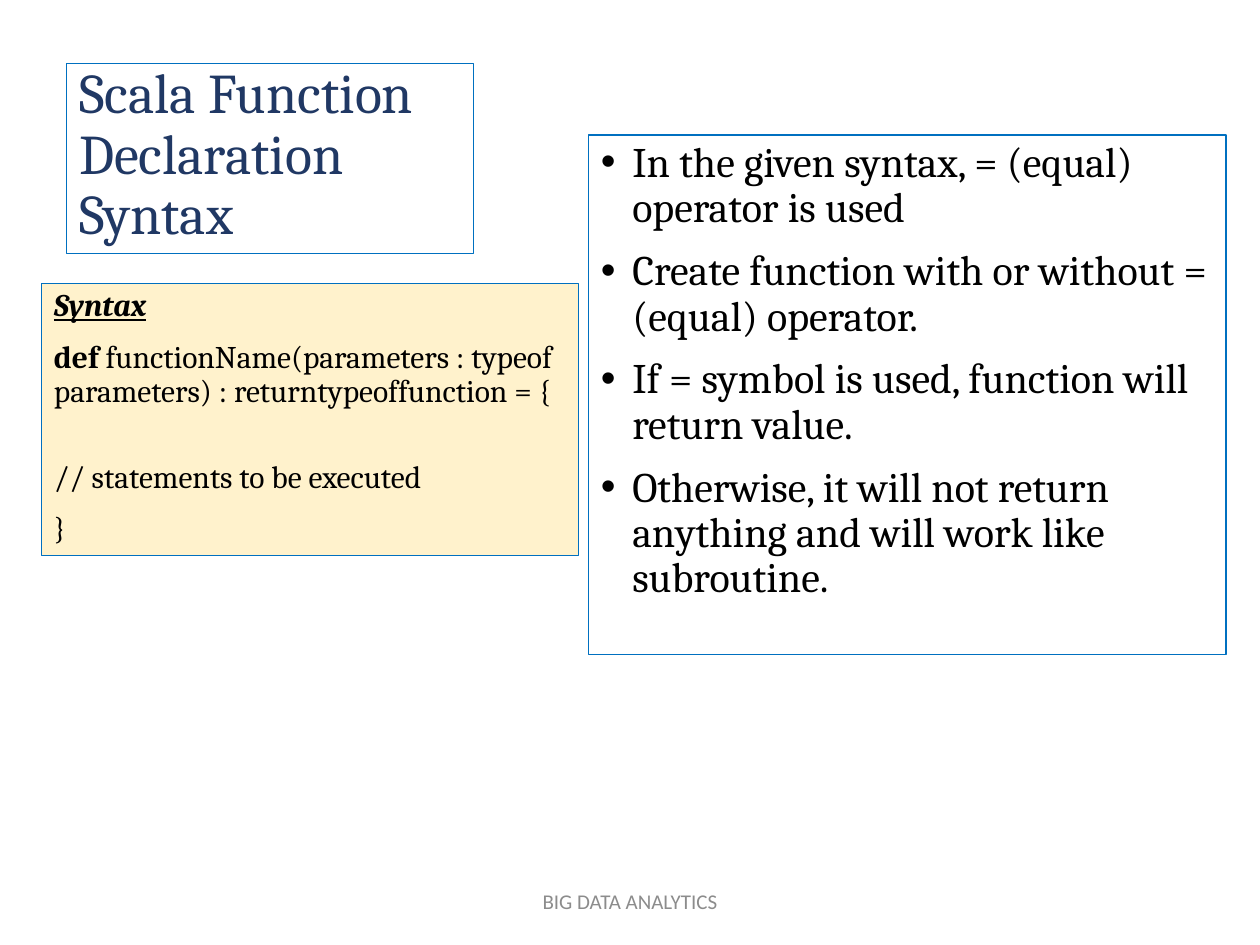
from lxml.etree import SubElement
from pptx import Presentation
from pptx.dml.color import RGBColor
from pptx.enum.text import MSO_ANCHOR as Anchor, PP_ALIGN as Align
from pptx.oxml.ns import qn
from pptx.util import Inches, Pt

WIDTH, HEIGHT = Inches(10), Inches(7.5)
COLORS = {"border": "0070C0", "title": "203864", "text": "000000",
          "syntax": "FFF2CC", "footer": "8C8C8C"}
POINTS = [
    "In the given syntax, = (equal) operator is used",
    "Create function with or without = (equal) operator.",
    "If = symbol is used, function will return value.",
    "Otherwise, it will not return anything and will work like subroutine.",
]
SIGNATURE = "functionName(parameters : typeofparameters) : returntypeoffunction = {"
CODE = ["Syntax", "def ", "// statements to be executed", "}"]
STATEMENT_GAP = 29.5


def color(name):
    return RGBColor.from_string(COLORS[name])


def add_box(slide, left, top, width, height, anchor=Anchor.TOP, border=True, fill=None):
    shape = slide.shapes.add_textbox(int(left * WIDTH), int(top * HEIGHT),
                                     int(width * WIDTH), int(height * HEIGHT))
    shape.text_frame.word_wrap = True
    shape.text_frame.vertical_anchor = anchor
    if border:
        shape.line.color.rgb = color("border")
        shape.line.width = Pt(0.75)
    if fill:
        shape.fill.solid()
        shape.fill.fore_color.rgb = color(fill)
    return shape.text_frame


def write(text_frame, lines, size, ink="text", font="Cambria", before=0, spacing=0.9):
    text_frame.text = "\n".join(lines)
    for paragraph in text_frame.paragraphs:
        paragraph.line_spacing = spacing
        paragraph.space_before = Pt(before)
        for run in paragraph.runs:
            style(run, size, ink, font)


def style(run, size, ink="text", font="Cambria"):
    run.font.name = font
    run.font.size = Pt(size)
    run.font.color.rgb = color(ink)


def add_bullets(text_frame):
    for paragraph in text_frame.paragraphs:
        properties = paragraph._p.get_or_add_pPr()
        properties.set("marL", str(Inches(0.25)))
        properties.set("indent", str(-Inches(0.25)))
        SubElement(properties, qn("a:buFont"), typeface="Arial")
        SubElement(properties, qn("a:buChar"), char="•")


def non_breaking(text):
    return text.replace(" ", chr(160))


def add_syntax(slide):
    text_frame = add_box(slide, 0.033, 0.3, 0.426, 0.288, fill="syntax")
    write(text_frame, [non_breaking(line) for line in CODE], 18, before=10)
    heading, declaration, statement, _ = text_frame.paragraphs
    heading_font = heading.runs[0].font
    heading_font.bold = heading_font.italic = heading_font.underline = True
    declaration.runs[0].font.bold = True
    signature = declaration.add_run()
    signature.text = non_breaking(SIGNATURE)
    style(signature, 18)
    statement.space_before = Pt(STATEMENT_GAP)


def main():
    presentation = Presentation()
    presentation.slide_width, presentation.slide_height = WIDTH, HEIGHT
    slide = presentation.slides.add_slide(presentation.slide_layouts[6])

    title = add_box(slide, 0.053, 0.067, 0.323, 0.201, anchor=Anchor.BOTTOM)
    write(title, ["Scala Function Declaration Syntax"], 32, "title")

    points = add_box(slide, 0.467, 0.143, 0.506, 0.55)
    write(points, POINTS, 24, before=10)
    add_bullets(points)

    add_syntax(slide)

    footer = add_box(slide, 0.331, 0.927, 0.338, 0.053, anchor=Anchor.MIDDLE, border=False)
    write(footer, ["BIG DATA ANALYTICS"], 12, "footer", "Calibri", spacing=1.0)
    footer.paragraphs[0].alignment = Align.CENTER

    presentation.save("out.pptx")


if __name__ == "__main__":
    main()
